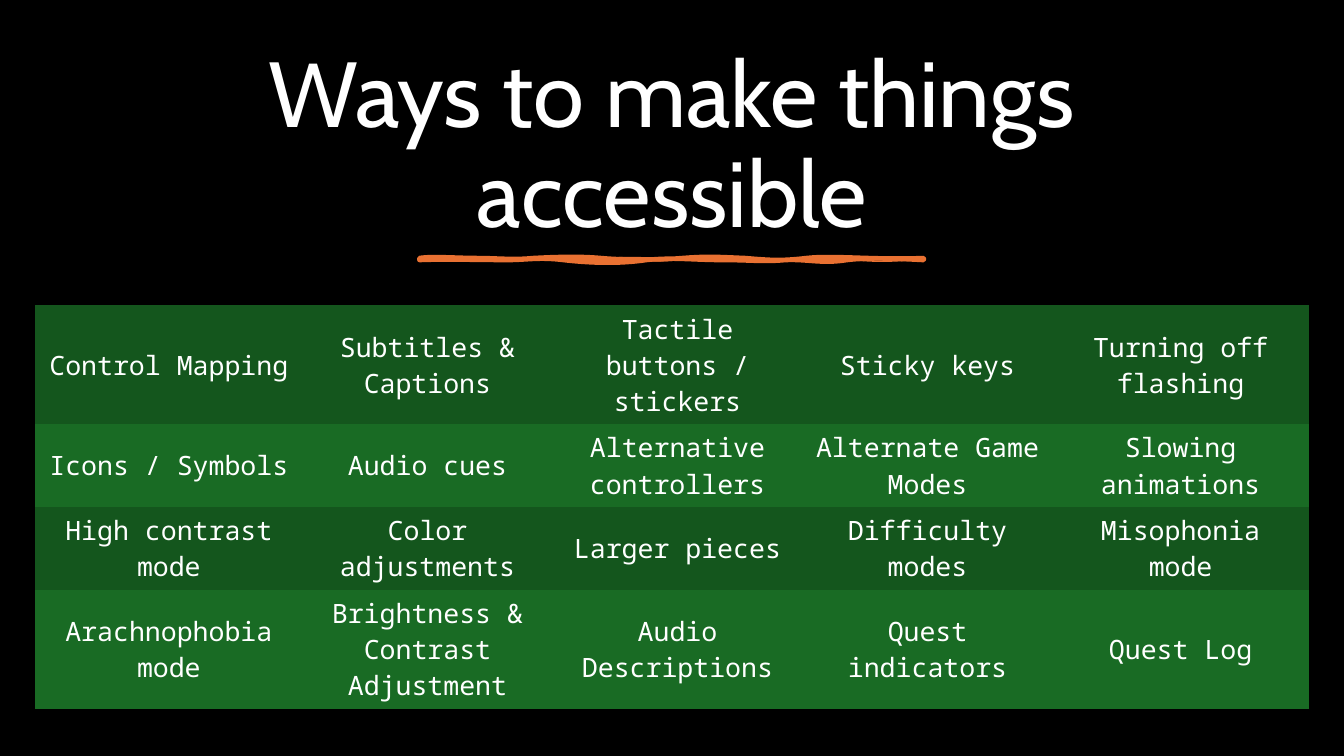
from typing import NamedTuple

import lxml.etree
import pptx
import pptx.dml.color
import pptx.enum.text
import pptx.oxml.ns
import pptx.util

Inches = pptx.util.Inches
Pt = pptx.util.Pt
RGBColor = pptx.dml.color.RGBColor
qn = pptx.oxml.ns.qn

BLACK = RGBColor(0x00, 0x00, 0x00)
WHITE = RGBColor(0xFF, 0xFF, 0xFF)
ORANGE = RGBColor(0xE9, 0x71, 0x32)
DARK_GREEN = RGBColor(0x14, 0x56, 0x1D)
GREEN = RGBColor(0x19, 0x6B, 0x24)

NO_GRID_STYLE = "{2D5ABB26-0587-4C30-8999-92F81FD0307C}"


class Curve(NamedTuple):
    """A cubic curve: two control points and the end point."""
    first: tuple[float, float]
    second: tuple[float, float]
    end: tuple[float, float]


class TextStyle(NamedTuple):
    font: str
    size: float
    color: RGBColor


TITLE_STYLE = TextStyle("Cabin", 66, WHITE)
CELL_STYLE = TextStyle("Noto Sans Mono", 19, WHITE)

UNDERLINE_START = (4.16, 2.56)
UNDERLINE_STROKE = [
    Curve((4.28, 2.54), (4.54, 2.56), (4.73, 2.56)),
    Curve((4.92, 2.56), (5.09, 2.58), (5.29, 2.56)),
    Curve((5.49, 2.55), (5.74, 2.54), (5.96, 2.56)),
    Curve((6.17, 2.58), (6.53, 2.58), (6.77, 2.56)),
    Curve((7.02, 2.54), (7.14, 2.55), (7.39, 2.56)),
    Curve((7.63, 2.58), (7.74, 2.59), (8, 2.56)),
    Curve((8.26, 2.53), (8.67, 2.58), (9.16, 2.56)),
    Curve((9.17, 2.57), (9.16, 2.57), (9.16, 2.58)),
    Curve((8.95, 2.57), (8.65, 2.55), (8.4, 2.58)),
    Curve((8.15, 2.62), (8.01, 2.57), (7.79, 2.58)),
    Curve((7.56, 2.6), (7.47, 2.58), (7.17, 2.58)),
    Curve((6.87, 2.58), (6.67, 2.55), (6.41, 2.58)),
    Curve((6.14, 2.62), (5.85, 2.61), (5.59, 2.58)),
    Curve((5.34, 2.55), (5.23, 2.58), (5.03, 2.58)),
    Curve((4.83, 2.58), (4.38, 2.57), (4.16, 2.58)),
    Curve((4.16, 2.58), (4.16, 2.57), UNDERLINE_START),
]
UNDERLINE_FILL = [
    Curve((4.32, 2.55), (4.52, 2.55), (4.78, 2.56)),
    Curve((5.03, 2.58), (5.08, 2.58), (5.34, 2.56)),
    Curve((5.6, 2.54), (5.74, 2.59), (5.96, 2.56)),
    Curve((6.18, 2.54), (6.39, 2.55), (6.67, 2.56)),
    Curve((6.95, 2.58), (7.24, 2.54), (7.44, 2.56)),
    Curve((7.63, 2.59), (8.02, 2.55), (8.25, 2.56)),
    Curve((8.48, 2.58), (8.72, 2.6), (9.16, 2.56)),
    Curve((9.16, 2.57), (9.16, 2.58), (9.16, 2.58)),
    Curve((8.79, 2.6), (8.76, 2.61), (8.4, 2.58)),
    Curve((8.04, 2.56), (7.96, 2.58), (7.59, 2.58)),
    Curve((7.21, 2.58), (7.16, 2.54), (6.77, 2.58)),
    Curve((6.39, 2.62), (6.37, 2.57), (6.21, 2.58)),
    Curve((6.04, 2.6), (5.72, 2.6), (5.44, 2.58)),
    Curve((5.17, 2.57), (5.04, 2.58), (4.78, 2.58)),
    Curve((4.52, 2.59), (4.41, 2.56), (4.16, 2.58)),
    Curve((4.16, 2.58), (4.16, 2.57), UNDERLINE_START),
]

COLUMN_WIDTHS = [2.65, 2.48, 2.48, 2.48, 2.54]
ROW_HEIGHTS = [1.18, 0.82, 0.82, 1.18]
WAYS = [
    ["Control Mapping", "Subtitles & Captions", "Tactile buttons / stickers",
     "Sticky keys", "Turning off flashing"],
    ["Icons / Symbols", "Audio cues", "Alternative controllers",
     "Alternate Game Modes", "Slowing animations"],
    ["High contrast mode", "Color adjustments", "Larger pieces",
     "Difficulty modes", "Misophonia mode"],
    ["Arachnophobia mode", "Brightness & Contrast Adjustment",
     "Audio Descriptions", "Quest indicators", "Quest Log"],
]


def write_centered(text_frame, text: str, style: TextStyle) -> None:
    text_frame.text = text
    para = text_frame.paragraphs[0]
    para.alignment = pptx.enum.text.PP_ALIGN.CENTER
    font = para.runs[0].font
    font.name = style.font
    font.size = Pt(style.size)
    font.color.rgb = style.color


def add_title(page) -> None:
    box = page.shapes.add_textbox(Inches(0.7), Inches(0.5), Inches(11.93), Inches(2))
    frame = box.text_frame
    frame.word_wrap = True
    frame.vertical_anchor = pptx.enum.text.MSO_ANCHOR.BOTTOM
    write_centered(frame, "Ways to make things accessible", TITLE_STYLE)
    frame.paragraphs[0].line_spacing = 0.9


def bend_segments(outline) -> None:
    """Turn each three straight segments of the outline into one cubic curve."""
    segments = outline.findall(qn("a:lnTo"))
    for first, second, end in zip(segments[::3], segments[1::3], segments[2::3]):
        curve = lxml.etree.Element(qn("a:cubicBezTo"))
        first.addprevious(curve)
        for segment in (first, second, end):
            curve.append(segment[0])
            outline.remove(segment)


def add_underline(page) -> None:
    start = [Inches(value) for value in UNDERLINE_START]
    builder = page.shapes.build_freeform(*start)
    for curves in (UNDERLINE_STROKE, UNDERLINE_FILL):
        if curves is UNDERLINE_FILL:
            builder.move_to(*start)
        builder.add_line_segments(
            [(Inches(x), Inches(y)) for curve in curves for x, y in curve], close=True)
    underline = builder.convert_to_shape()
    underline.shadow.inherit = False
    underline.fill.solid()
    underline.fill.fore_color.rgb = ORANGE
    underline.line.color.rgb = ORANGE
    underline.line.width = Pt(3.25)
    lxml.etree.SubElement(underline.element.spPr.find(qn("a:ln")), qn("a:round"))

    stroke_outline = next(underline.element.iter(qn("a:path")))
    bend_segments(stroke_outline)
    fill_outline = lxml.etree.Element(qn("a:path"), dict(stroke_outline.attrib))
    second_start = stroke_outline.findall(qn("a:moveTo"))[1]
    fill_outline.extend([second_start, *second_start.itersiblings()])
    stroke_outline.addnext(fill_outline)
    stroke_outline.set("fill", "none")
    fill_outline.set("stroke", "0")


def add_ways_table(page) -> None:
    holder = page.shapes.add_table(
        len(WAYS), len(COLUMN_WIDTHS), Inches(0.35), Inches(3.03),
        Inches(sum(COLUMN_WIDTHS)), Inches(sum(ROW_HEIGHTS)))
    table = holder.table
    table.first_row = False
    table.horz_banding = False
    next(holder.element.iter(qn("a:tableStyleId"))).text = NO_GRID_STYLE
    for column, width in zip(table.columns, COLUMN_WIDTHS):
        column.width = Inches(width)
    for row_index, (row, height) in enumerate(zip(table.rows, ROW_HEIGHTS)):
        row.height = Inches(height)
        for cell, way in zip(row.cells, WAYS[row_index]):
            cell.fill.solid()
            cell.fill.fore_color.rgb = GREEN if row_index % 2 else DARK_GREEN
            cell.vertical_anchor = pptx.enum.text.MSO_ANCHOR.MIDDLE
            write_centered(cell.text_frame, way, CELL_STYLE)


def main() -> None:
    deck = pptx.Presentation()
    deck.slide_width = Inches(13.33)
    deck.slide_height = Inches(7.5)
    page = deck.slides.add_slide(deck.slide_layouts[6])
    page.background.fill.solid()
    page.background.fill.fore_color.rgb = BLACK
    add_title(page)
    add_underline(page)
    add_ways_table(page)
    deck.save("out.pptx")


if __name__ == "__main__":
    main()
